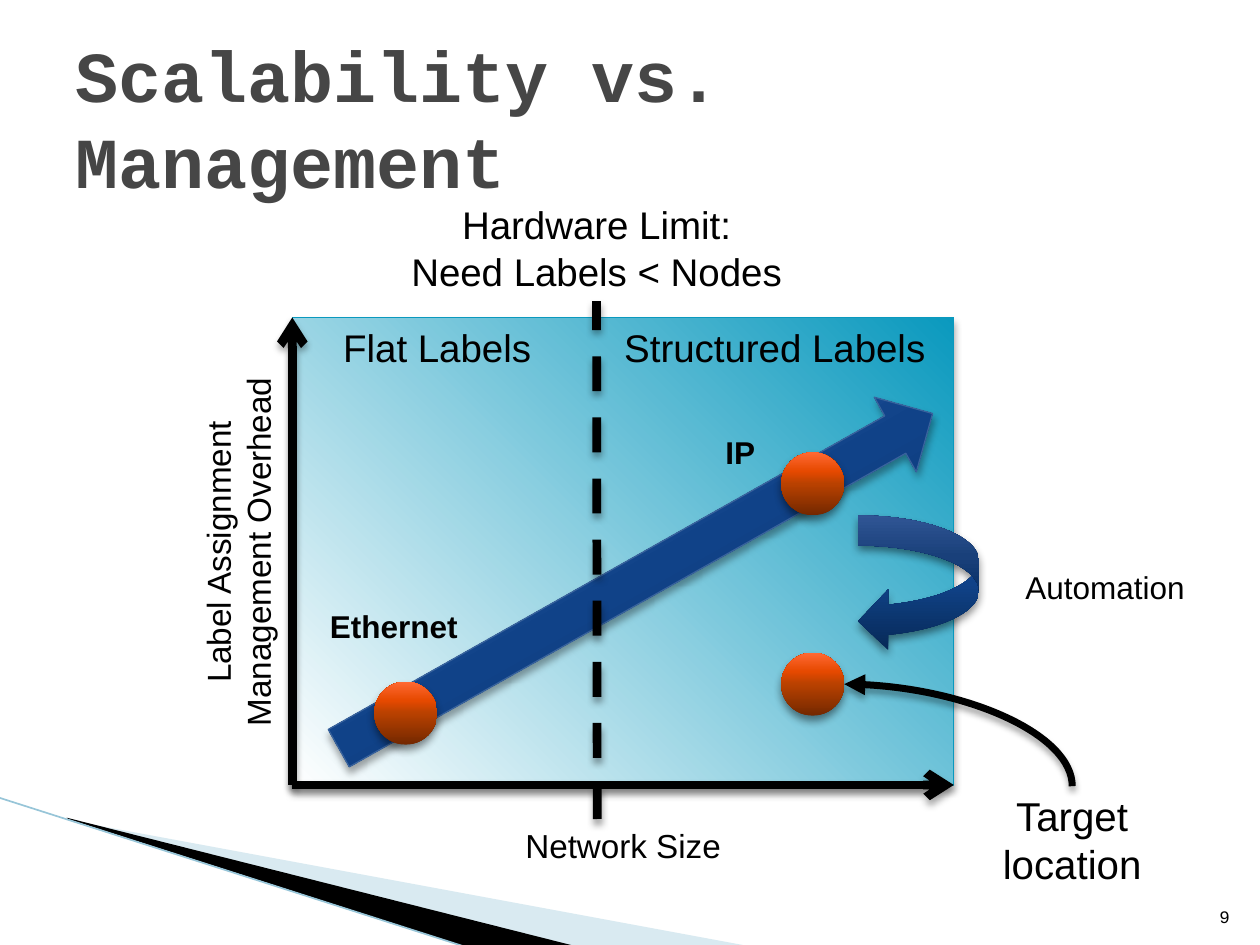
from lxml.etree import Element, SubElement
from pptx import Presentation
from pptx.dml.color import RGBColor
from pptx.enum.dml import MSO_LINE
from pptx.enum.shapes import MSO_CONNECTOR, MSO_SHAPE
from pptx.enum.text import MSO_ANCHOR, PP_ALIGN
from pptx.oxml.ns import qn
from pptx.util import Inches, Pt

BLACK = RGBColor(0x00, 0x00, 0x00)
WHITE = RGBColor(0xFF, 0xFF, 0xFF)
GRAY = RGBColor(0x46, 0x46, 0x46)
PALE = RGBColor(0xA0, 0xCB, 0xDC)
EDGE = RGBColor(0x97, 0xC5, 0xD8)
TEAL = RGBColor(0x0A, 0x99, 0xBE)
STEEL = RGBColor(0x39, 0x63, 0x9D)
SKY = [(0, WHITE), (100, TEAL)]
BLUE = [(0, RGBColor(0x07, 0x29, 0x56)), (50, RGBColor(0x10, 0x42, 0x88)),
        (70, RGBColor(0x20, 0x51, 0x99)), (100, RGBColor(0x3D, 0x6B, 0xB9))]
ORANGE = [(0, RGBColor(0x73, 0x28, 0x00)), (50, RGBColor(0xB9, 0x41, 0x00)),
          (70, RGBColor(0xE6, 0x49, 0x00)), (100, RGBColor(0xFF, 0x69, 0x33))]

deck = Presentation()
deck.slide_width, deck.slide_height = Inches(10), Inches(7.5)
slide = deck.slides.add_slide(deck.slide_layouts[6])
shapes = slide.shapes


def write(text, left, top, width, height, size=18, font="Arial", color=BLACK,
          bold=False, align=PP_ALIGN.CENTER, anchor=MSO_ANCHOR.TOP, turn=0):
    box = shapes.add_textbox(Inches(left), Inches(top), Inches(width), Inches(height))
    box.rotation = turn
    frame = box.text_frame
    frame.word_wrap = True
    frame.vertical_anchor = anchor
    frame.text = text
    for para in frame.paragraphs:
        para.alignment = align
        para.font.size = Pt(size)
        para.font.name = font
        para.font.bold = bold
        para.font.color.rgb = color
    return box


def finish(shape, stops=None, angle=270, tail=None, blur=4, alpha=35):
    """Add gradient, arrowhead and drop shadow; set the outline first."""
    props = shape._element.spPr
    if stops:
        grad = Element(qn("a:gradFill"), rotWithShape="1")
        group = SubElement(grad, qn("a:gsLst"))
        for place, color in stops:
            stop = SubElement(group, qn("a:gs"), pos=str(place * 1000))
            SubElement(stop, qn("a:srgbClr"), val=str(color))
        SubElement(grad, qn("a:lin"), ang=str(angle * 60000), scaled="0")
        props.insert(2, grad)
    if tail:
        SubElement(props.find(qn("a:ln")), qn("a:tailEnd"), type=tail)
    effects = SubElement(props, qn("a:effectLst"))
    shadow = SubElement(effects, qn("a:outerShdw"), blurRad=str(Pt(blur)),
                        dist=str(Pt(3)), dir="5400000", rotWithShape="0")
    color = SubElement(shadow, qn("a:srgbClr"), val=str(BLACK))
    SubElement(color, qn("a:alpha"), val=str(alpha * 1000))


# Corner wedges
for color, points in [
    (PALE, [(0.55, 6.51), (5.95, 7.51), (4.56, 7.51), (0.55, 6.5)]),
    (BLACK, [(0.53, 6.49), (4.57, 7.51), (3.72, 7.52), (0.54, 6.5)]),
]:
    (x, y), *rest = [(Inches(a), Inches(b)) for a, b in points]
    path = shapes.build_freeform(x, y)
    path.add_line_segments(rest)
    wedge = path.convert_to_shape()
    wedge.shadow.inherit = False
    wedge.fill.solid()
    wedge.fill.fore_color.rgb = color
    wedge.line.fill.background()
    if color == PALE:
        tint = wedge._element.spPr.find(qn("a:solidFill"))[0]
        SubElement(tint, qn("a:alpha"), val="40000")

rim = shapes.add_connector(MSO_CONNECTOR.STRAIGHT, Inches(-0.01), Inches(6.33),
                           Inches(3.71), Inches(7.52))
rim.line.color.rgb = EDGE
rim.line.width = Pt(0.95)
SubElement(rim._element.spPr, qn("a:effectLst"))

write("Scalability vs. Management", 0.5, 0.3, 9, 1.25, size=41, font="Courier New",
      color=GRAY, bold=True, align=PP_ALIGN.LEFT, anchor=MSO_ANCHOR.MIDDLE)

# Chart area and axes
LEFT, TOP, WIDE, BASE = 2.32, 2.52, 5.25, 6.23
plot = shapes.add_shape(MSO_SHAPE.RECTANGLE, Inches(LEFT), Inches(TOP),
                        Inches(WIDE), Inches(BASE - TOP))
plot.line.color.rgb = TEAL
plot.line.width = Pt(0.75)
finish(plot, SKY, angle=315)

for x, y in [(LEFT, TOP), (LEFT + WIDE, BASE)]:
    axis = shapes.add_connector(MSO_CONNECTOR.STRAIGHT, Inches(LEFT), Inches(BASE),
                                Inches(x), Inches(y))
    axis.line.color.rgb = BLACK
    axis.line.width = Pt(5)
    finish(axis, tail="arrow")

write("Network Size", LEFT, 6.5, WIDE, 0.42, size=19)
write("Label Assignment Management Overhead", 0.03, 4.01, 3.72, 0.74, size=19, turn=270)

# Trend arrow and points
trend = shapes.add_shape(MSO_SHAPE.RIGHT_ARROW, Inches(2.34), Inches(4.27),
                         Inches(5.41), Inches(0.68))
trend.rotation = 330.6
trend.line.color.rgb = STEEL
trend.line.width = Pt(0.75)
finish(trend, BLUE)

write("Ethernet", 2.52, 4.77, 1.22, 0.4, bold=True, align=PP_ALIGN.LEFT)
write("IP", 5.66, 3.39, 0.54, 0.4, bold=True, align=PP_ALIGN.LEFT)

for x, y in [(2.97, 5.41), (6.2, 3.59), (6.2, 5.18)]:
    ball = shapes.add_shape(MSO_SHAPE.OVAL, Inches(x), Inches(y), Inches(0.5), Inches(0.5))
    ball.line.fill.background()
    finish(ball, ORANGE, blur=5, alpha=45)

# Target: a quarter bend, laid out upright and then turned
write("Target location", 7.77, 6.23, 1.48, 0.88, size=23)
bend = shapes.add_connector(MSO_CONNECTOR.CURVE, Inches(7.2), Inches(6.74),
                            Inches(8.01), Inches(4.93))
props = bend._element.spPr
props.find(qn("a:xfrm")).set("rot", str(270 * 60000))
props.find(qn("a:prstGeom")).set("prst", "curvedConnector2")
bend.line.color.rgb = BLACK
bend.line.width = Pt(4)
finish(bend, tail="triangle")

# Hardware limit
limit = write("Hardware Limit:\nNeed Labels < Nodes", 2.83, 1.55, 3.81, 0.84, size=22)
split = shapes.add_connector(MSO_CONNECTOR.STRAIGHT, Inches(4.74), Inches(6.5),
                             Inches(4.74), Inches(2.39))
split.end_connect(limit, 2)
split.line.color.rgb = BLACK
split.line.width = Pt(5)
split.line.dash_style = MSO_LINE.DASH
finish(split)
write("Flat Labels", 2.22, TOP, 2.5, 0.47, size=22)
write("Structured Labels", 4.73, TOP, 2.84, 0.47, size=22)

# Automation
loop = shapes.add_shape(MSO_SHAPE.CURVED_LEFT_ARROW, Inches(6.81), Inches(4.09),
                        Inches(0.96), Inches(1.08))
loop.line.fill.background()
finish(loop, BLUE, blur=5, alpha=45)
write("Automation", 8.04, 4.46, 1.72, 0.4, align=PP_ALIGN.LEFT)

write("9", 9.46, 7.01, 0.4, 0.4, size=10, font="Courier New",
      align=PP_ALIGN.RIGHT, anchor=MSO_ANCHOR.BOTTOM)

deck.save("out.pptx")
